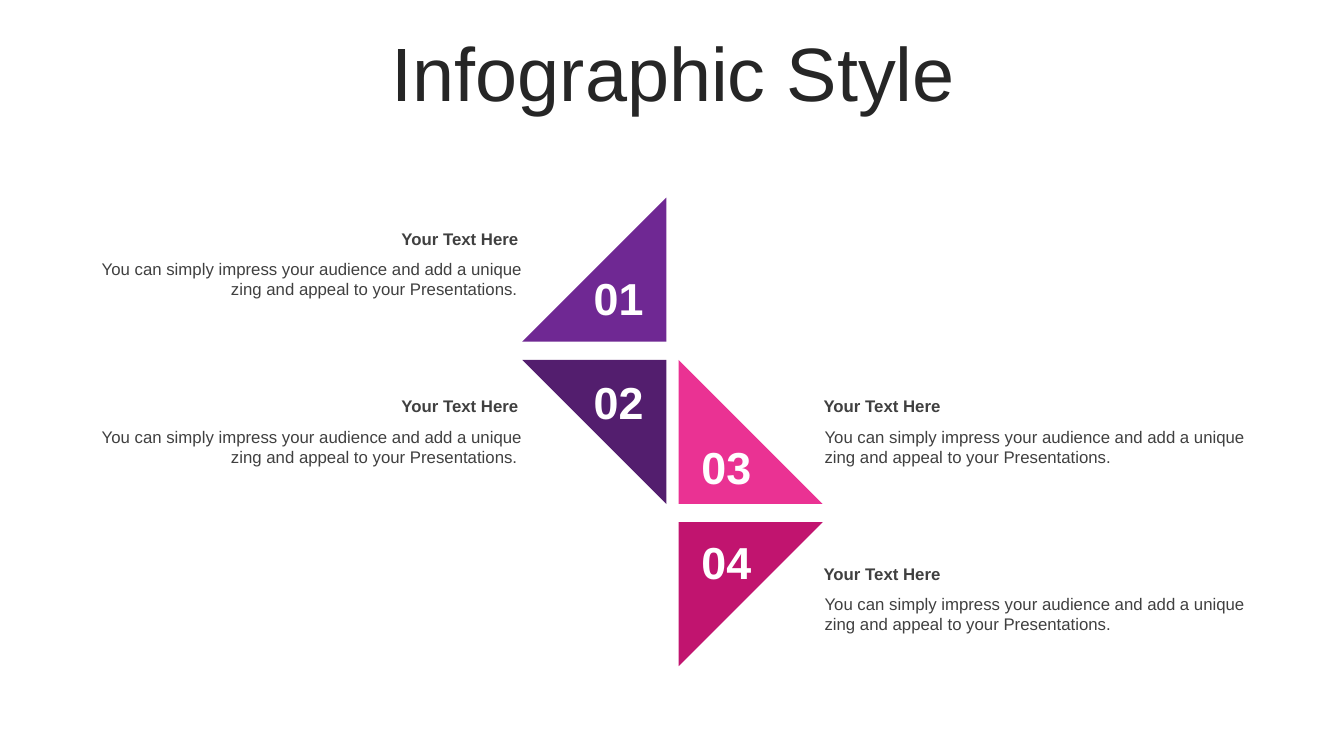
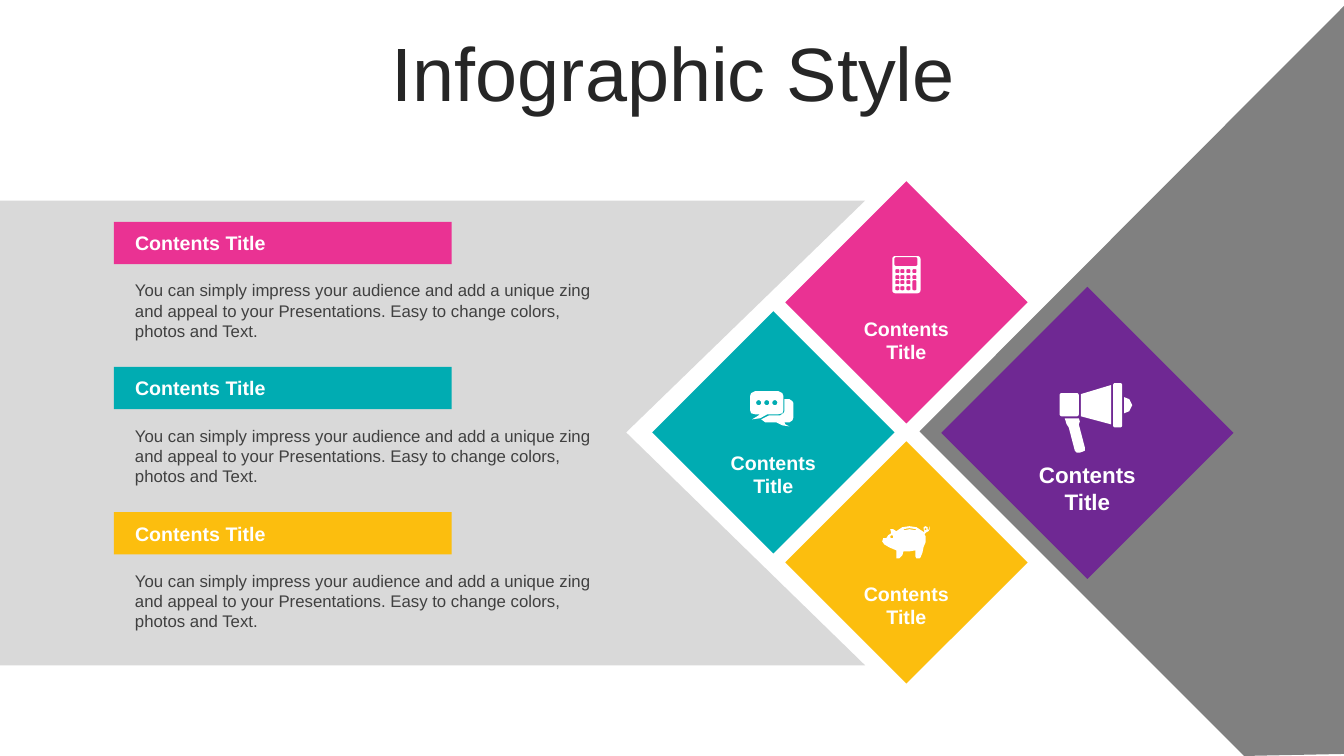
from math import cos, radians, sin

from pptx import Presentation
from pptx.dml.color import RGBColor
from pptx.enum.shapes import MSO_SHAPE
from pptx.enum.text import MSO_ANCHOR, PP_ALIGN
from pptx.util import Pt

PX = 9144
WIDE, HIGH = 1333, 750

WHITE = RGBColor(0xFF, 0xFF, 0xFF)
INK = RGBColor(0x26, 0x26, 0x26)
SLATE = RGBColor(0x40, 0x40, 0x40)
SILVER = RGBColor(0xD9, 0xD9, 0xD9)
GRAY = RGBColor(0x80, 0x80, 0x80)
PINK = RGBColor(0xEA, 0x32, 0x93)
ROSE = RGBColor(0xC1, 0x14, 0x6F)
PURPLE = RGBColor(0x6F, 0x28, 0x93)
PLUM = RGBColor(0x53, 0x1E, 0x6E)
TEAL = RGBColor(0x00, 0xAC, 0xB2)
AMBER = RGBColor(0xFC, 0xBE, 0x0E)

LEFT, MIDDLE, RIGHT = PP_ALIGN.LEFT, PP_ALIGN.CENTER, PP_ALIGN.RIGHT
BLURB = ("You can simply impress your audience and add a unique "
         "zing and appeal to your Presentations.")
LONG = BLURB + " Easy to change colors, photos and Text."


def style(size, bold=False):
    return {"name": "Arial", "size": Pt(size), "bold": bold}


def emu(*sizes):
    return [round(size * PX) for size in sizes]


def fill(frame, lines, color, form, align):
    frame.word_wrap = True
    for index, line in enumerate(lines):
        para = frame.add_paragraph() if index else frame.paragraphs[0]
        para.alignment = align
        run = para.add_run()
        run.text = line
        run.font.color.rgb = color
        for key, value in form.items():
            setattr(run.font, key, value)


def write(slide, box, lines, color, form, align=LEFT):
    frame = slide.shapes.add_textbox(*emu(*box)).text_frame
    fill(frame, lines, color, form, align)
    return frame


def paint(shape, color):
    shape.shadow.inherit = False
    shape.fill.solid()
    shape.fill.fore_color.rgb = color
    shape.line.fill.background()
    return shape


def block(slide, kind, box, color, turn=0):
    shape = paint(slide.shapes.add_shape(kind, *emu(*box)), color)
    shape.rotation = turn
    return shape


def trace(slide, x, y, rings, color):
    pen = None
    for ring in rings:
        first, *rest = [emu(x + dx, y + dy) for dx, dy in ring]
        if pen is None:
            pen = slide.shapes.build_freeform(*first, scale=1)
        else:
            pen.move_to(*first)
        pen.add_line_segments(rest, close=True)
    paint(pen.convert_to_shape(), color)


def pill(x, y, w, h, r):
    hubs = ((x + w - r, y + h - r), (x + r, y + h - r),
            (x + r, y + r), (x + w - r, y + r))
    return [(hx + r * cos(radians(90 * turn + step)),
             hy + r * sin(radians(90 * turn + step)))
            for turn, (hx, hy) in enumerate(hubs)
            for step in range(0, 91, 15)]


def count():
    cols, rows = (3, 8, 14, 20), (13, 19, 24, 30)
    keys = [pill(x, y, 4, 4, 1) for x in cols for y in rows
            if (x, y) not in ((20, 24), (20, 30))]
    return [pill(0, 0, 28, 37, 3), pill(2, 1, 23, 9, 2),
            pill(20, 24, 4, 10, 1), *keys]


def chat():
    front = [(5, 0), (28, 0), (32, 2), (33, 5), (33, 19), (32, 22), (28, 23),
             (17, 23), (10, 27), (2, 28), (7, 25), (10, 23), (5, 23),
             (1, 22), (0, 19), (0, 5), (1, 2)]
    back = [(34, 8), (39, 8), (42, 10), (43, 12), (43, 26), (42, 29), (39, 31),
            (34, 31), (35, 33), (39, 35), (32, 34), (26, 31), (15, 31),
            (11, 28), (19, 24), (30, 24), (33, 22), (34, 20)]
    return [front, back, *(pill(x, 9, 5, 5, 2.5) for x in (6, 14, 22))]


def horn():
    grip = [(19, 35), (20, 38), (19, 41), (25, 64), (25, 67), (23, 68),
            (20, 69), (17, 69), (15, 67), (9, 44), (7, 41), (5, 35)]
    knob = [(64, 14), (69, 16), (72, 22), (69, 28), (64, 30)]
    cone = [(51, 2), (51, 41), (21, 33), (21, 11)]
    return [grip, knob, cone, pill(0, 10, 19, 23, 2), pill(53, 0, 9, 44, 2)]


def pig():
    body = [(27, 0), (34, 1), (40, 5), (41, 6), (42, 5), (41, 3), (41, 1),
            (43, 0), (45, 1), (45, 3), (46, 4), (47, 0), (47, 3), (46, 5),
            (44, 6), (42, 8), (43, 10), (43, 16), (41, 21), (40, 26),
            (38, 31), (37, 32), (34, 32), (33, 30), (33, 24), (27, 25),
            (21, 25), (20, 29), (17, 32), (14, 32), (14, 24), (7, 21),
            (2, 18), (0, 15), (1, 12), (4, 12), (6, 9), (9, 7), (8, 3),
            (11, 3), (14, 5), (20, 1)]
    slot = [(27, 2), (21, 3), (22, 4), (27, 3), (33, 4), (34, 3)]
    return [body, slot, pill(8, 9, 3, 3, 1.5), pill(42, 2, 2, 2, 1)]


def begin(deck):
    slide = deck.slides.add_slide(deck.slide_layouts[6])
    frame = write(slide, (35, 37, 1266, 79), ["Infographic Style"],
                  INK, style(54), MIDDLE)
    frame.vertical_anchor = MSO_ANCHOR.MIDDLE
    frame.paragraphs[0].line_spacing = 0.9
    return slide


def wedge(slide, x, y, turn, color, label, dx, dy):
    block(slide, MSO_SHAPE.RIGHT_TRIANGLE, (x, y, 143, 143), color, turn)
    write(slide, (x + dx, y + dy, 111, 64), [label], WHITE,
          style(32, True), MIDDLE)


def note(slide, x, y, w, text, align):
    write(slide, (x, y, w, 30), ["Your Text Here"], SLATE,
          style(12, True), align)
    write(slide, (x + 1, y + 30, w + 3, 50), [text], SLATE, style(12), align)


def entry(slide, x, y, color):
    bar = block(slide, MSO_SHAPE.RECTANGLE, (x, y, 335, 42), color)
    frame = bar.text_frame
    frame.margin_left = 21 * PX
    frame.vertical_anchor = MSO_ANCHOR.MIDDLE
    fill(frame, ["Contents Title"], WHITE, style(14, True), LEFT)
    write(slide, (x + 11, y + 53, 495, 71), [LONG], SLATE, style(12))


def tile(slide, x, y, side, color, size, drop, icon, dx, dy):
    block(slide, MSO_SHAPE.RECTANGLE, (x, y, side, side), color, 45)
    write(slide, (x + side / 2 - 95, y + drop, 190, 57),
          ["Contents", "Title"], WHITE, style(size, True), MIDDLE)
    trace(slide, x + dx, y + dy, icon, WHITE)


def wedges(deck):
    slide = begin(deck)
    for step in ((518, 196, 270, PURPLE, "01", 40, 68),
                 (518, 357, 180, PLUM, "02", 40, 10),
                 (673, 357, 0, PINK, "03", -8, 74),
                 (673, 518, 90, ROSE, "04", -8, 8)):
        wedge(slide, *step)
    for y in (222, 388):
        note(slide, 90, y, 434, BLURB + " ", RIGHT)
        note(slide, 807, y + 166, 444, BLURB, LEFT)


def tiles(deck):
    slide = begin(deck)
    panel = [(0, 199), (858, 199), (621, 429), (858, 660), (0, 660)]
    side = [(WIDE, 6), (WIDE, 748), (1234, HIGH), (912, 428)]
    for ring, color in ((panel, SILVER), (side, GRAY)):
        trace(slide, 0, 0, [ring], color)
    for row, color in enumerate((PINK, TEAL, AMBER)):
        entry(slide, 113, 220 + 144 * row, color)
    for part in ((976, 327, 205, PURPLE, 16, 126, horn(), 75, 53),
                 (682, 344, 170, TEAL, 14, 98, chat(), 62, 44),
                 (814, 215, 170, PINK, 14, 94, count(), 71, 39),
                 (814, 473, 170, AMBER, 14, 99, pig(), 61, 49)):
        tile(slide, *part)


def main():
    deck = Presentation()
    deck.slide_width, deck.slide_height = emu(WIDE, HIGH)
    wedges(deck)
    tiles(deck)
    deck.save("out.pptx")


if __name__ == "__main__":
    main()
